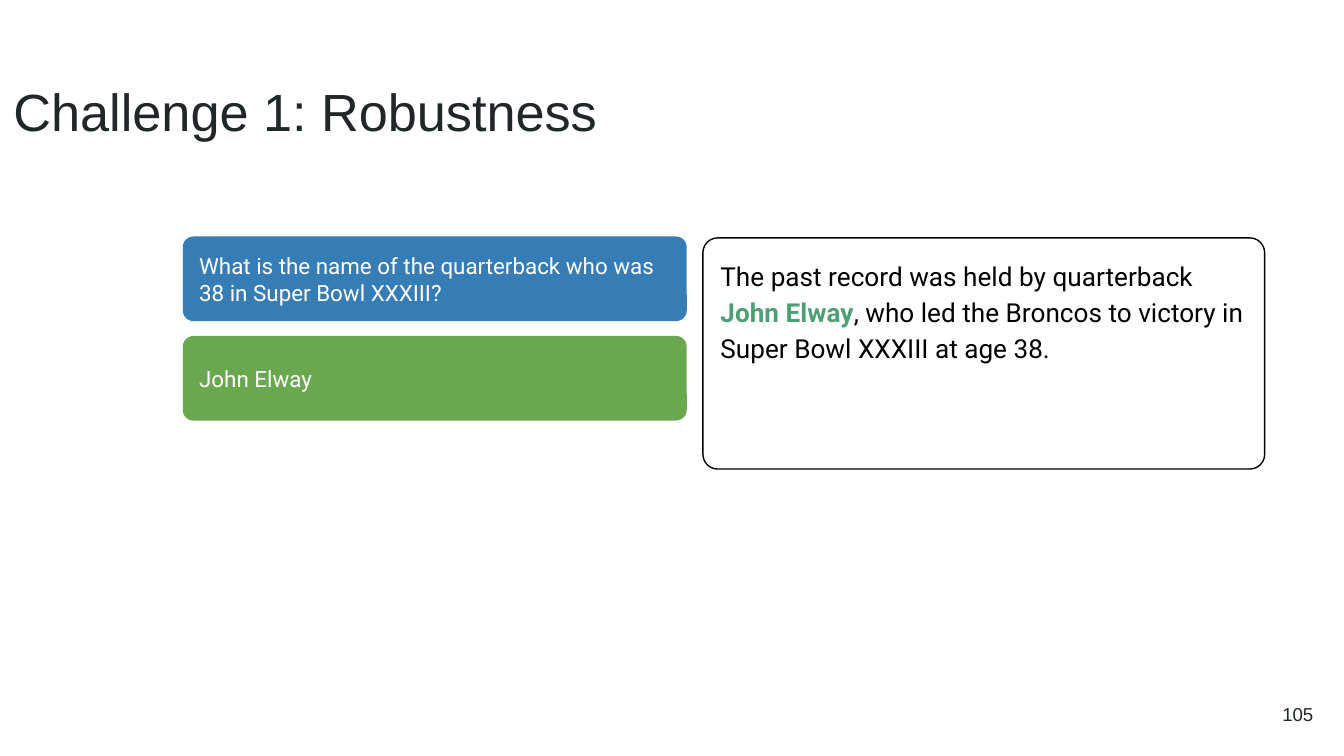
from dataclasses import dataclass

from pptx import Presentation
from pptx.dml.color import RGBColor
from pptx.enum.shapes import MSO_SHAPE
from pptx.enum.text import MSO_ANCHOR, MSO_AUTO_SIZE, PP_ALIGN
from pptx.util import Inches, Pt


@dataclass(frozen=True)
class Theme:
    heading_font: str = "Arial"
    body_font: str = "Roboto"
    ink: str = "202729"
    black: str = "000000"
    white: str = "FFFFFF"
    question: str = "367CB5"
    answer: str = "6AA84F"
    highlight: str = "4BA173"
    title_size: int = 28
    passage_size: int = 14
    card_size: int = 12
    number_size: int = 10


THEME = Theme()


def color(value):
    return RGBColor.from_string(value)


def prepare_text(shape, anchor, align=PP_ALIGN.LEFT):
    """Set up the text frame and return its first paragraph."""
    frame = shape.text_frame
    frame.word_wrap = True
    frame.auto_size = MSO_AUTO_SIZE.NONE
    frame.vertical_anchor = anchor
    frame.margin_left = frame.margin_right = Inches(0.1)
    frame.margin_top = frame.margin_bottom = Inches(0.1)
    paragraph = frame.paragraphs[0]
    paragraph.alignment = align
    return paragraph


def add_run(paragraph, text, font, size, ink, bold=False):
    run = paragraph.add_run()
    run.text = text
    run.font.name = font
    run.font.size = Pt(size)
    run.font.bold = bold
    run.font.color.rgb = color(ink)


def add_rounded_box(slide, left, top, width, height, radius, fill, line=None):
    shape = slide.shapes.add_shape(
        MSO_SHAPE.ROUNDED_RECTANGLE,
        Inches(left), Inches(top), Inches(width), Inches(height))
    shape.adjustments[0] = radius / min(width, height)
    shape.shadow.inherit = False
    shape.fill.solid()
    shape.fill.fore_color.rgb = color(fill)
    if line:
        shape.line.color.rgb = color(line)
        shape.line.width = Pt(0.75)
    else:
        shape.line.fill.background()
    return shape


def add_title(slide, text, left, top, width, height):
    title = slide.shapes.title
    title.left, title.top = Inches(left), Inches(top)
    title.width, title.height = Inches(width), Inches(height)
    paragraph = prepare_text(title, MSO_ANCHOR.TOP)
    add_run(paragraph, text, THEME.heading_font, THEME.title_size, THEME.ink)


def add_question_and_answer(slide, cards, left, top, width, height):
    """Stack the cards, given as (text, fill), evenly in the box."""
    gap = 0.11
    card_height = (height - gap * (len(cards) - 1)) / len(cards)
    for index, (text, fill) in enumerate(cards):
        card = add_rounded_box(slide, left, top + index * (card_height + gap),
                               width, card_height, 0.08, fill)
        paragraph = prepare_text(card, MSO_ANCHOR.MIDDLE)
        add_run(paragraph, text, THEME.body_font, THEME.card_size, THEME.white)


def add_passage(slide, parts, left, top, width, height):
    """Add the framed passage; parts are (text, is_answer) pairs."""
    box = add_rounded_box(slide, left, top, width, height, 0.11,
                          THEME.white, THEME.black)
    paragraph = prepare_text(box, MSO_ANCHOR.TOP)
    paragraph.line_spacing = 1.15
    for text, is_answer in parts:
        add_run(paragraph, text, THEME.body_font, THEME.passage_size,
                THEME.highlight if is_answer else THEME.black, is_answer)


def add_slide_number(slide, number, left, top, width, height):
    box = slide.shapes.add_textbox(
        Inches(left), Inches(top), Inches(width), Inches(height))
    paragraph = prepare_text(box, MSO_ANCHOR.MIDDLE, PP_ALIGN.RIGHT)
    add_run(paragraph, number, THEME.heading_font, THEME.number_size, THEME.ink)


def main():
    presentation = Presentation()
    presentation.slide_width = Inches(10)
    presentation.slide_height = Inches(10 * 9 / 16)
    title_only = presentation.slide_layouts.get_by_name("Title Only")
    slide = presentation.slides.add_slide(title_only)

    add_slide_number(slide, "105", 9.27, 5.1, 0.6, 0.43)
    add_title(slide, "Challenge 1: Robustness", 0, 0.49, 9.32, 0.63)
    add_question_and_answer(slide, [
        ("What is the name of the quarterback who was 38 in Super Bowl XXXIII?",
         THEME.question),
        ("John Elway", THEME.answer),
    ], 1.36, 1.76, 3.75, 1.37)
    add_passage(slide, [
        ("The past record was held by quarterback ", False),
        ("John Elway", True),
        (", who led the Broncos to victory in Super Bowl XXXIII at age 38.",
         False),
    ], 5.23, 1.77, 4.18, 1.72)

    presentation.save("out.pptx")


if __name__ == "__main__":
    main()
